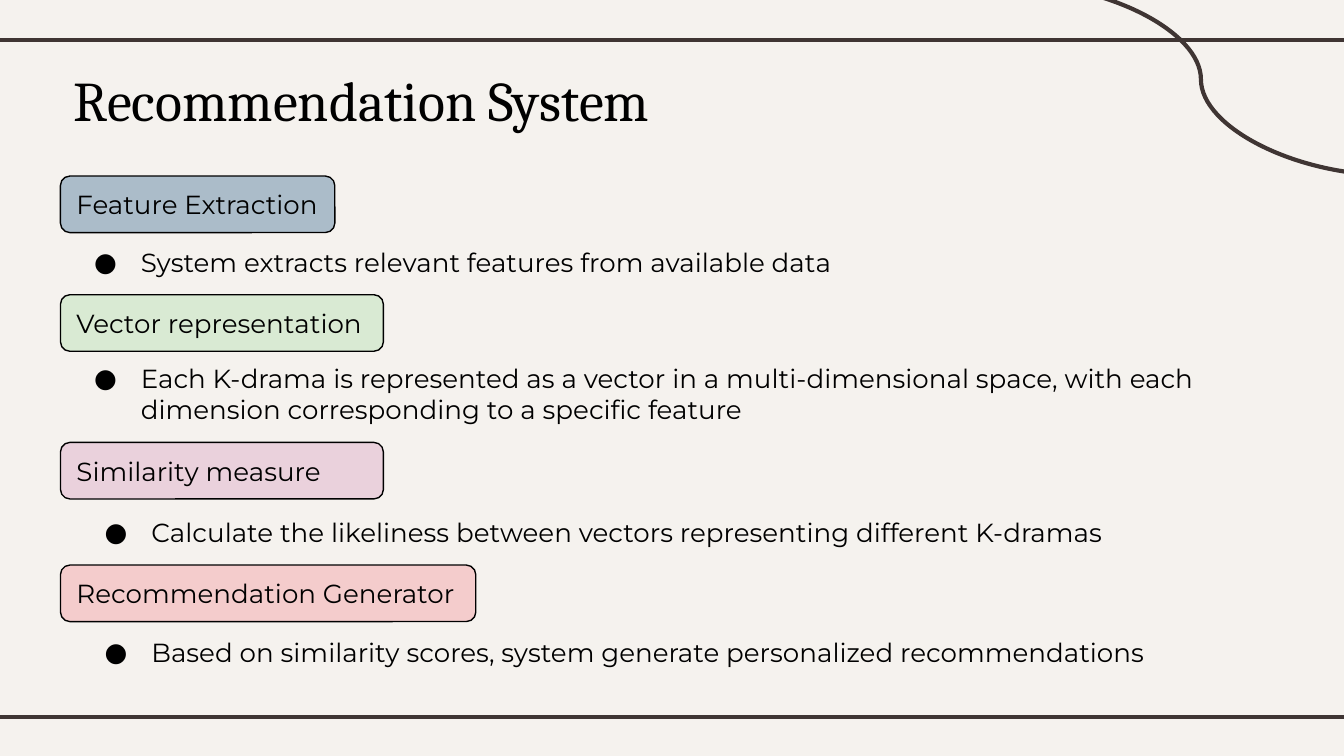
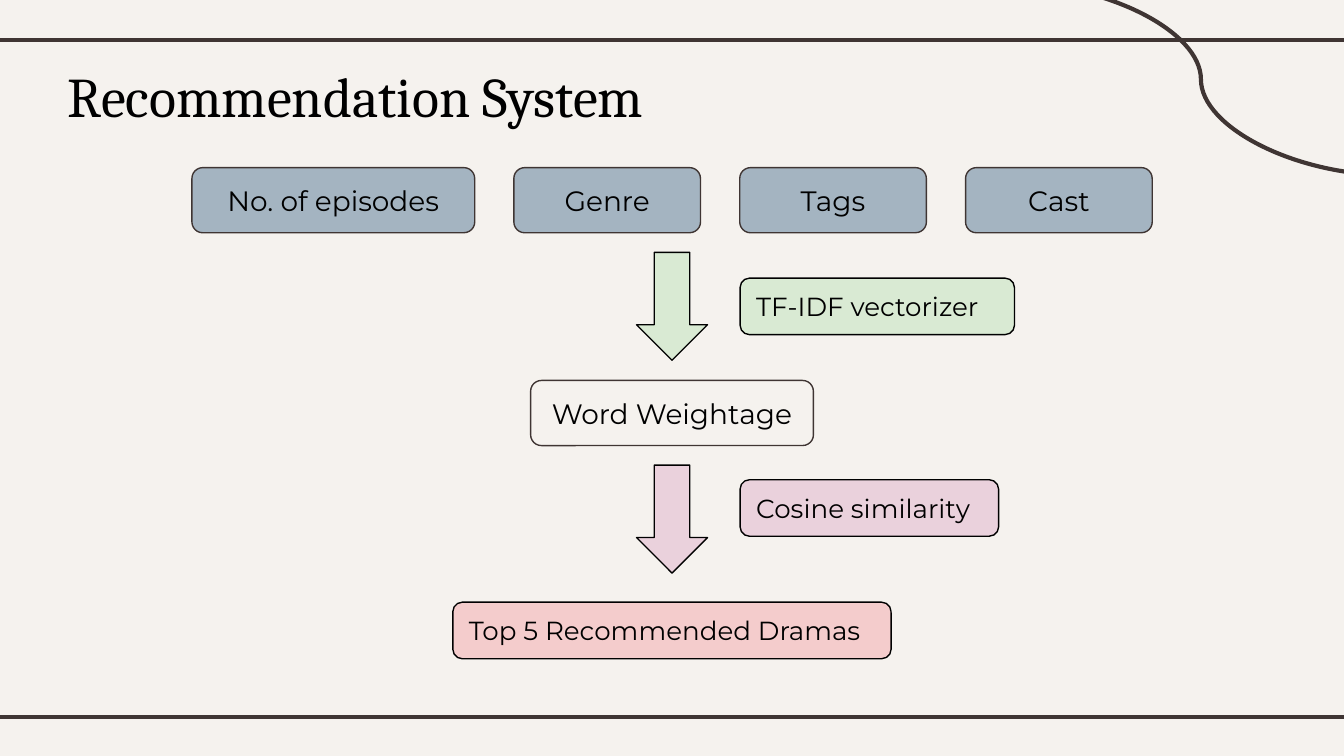
"""Build two slides on how a K-drama recommendation system works."""
from lxml import etree
from pptx import Presentation
from pptx.dml.color import RGBColor
from pptx.enum import shapes, text
from pptx.oxml.ns import qn
from pptx.util import Pt

COLORS = {"paper": "F5F2EE", "brown": "3F3533", "black": "000000",
          "blue": "ABBCC9", "slate": "7994A9", "green": "D9EAD3",
          "mauve": "EAD1DC", "pink": "F4CCCC"}
RGB = {name: RGBColor.from_string(value) for name, value in COLORS.items()}
MIDDLE = 360


def write(sp, label, size, align="LEFT", anchor="TOP", font="Montserrat"):
    tf = sp.text_frame
    tf.text = label
    tf.word_wrap = True
    tf.auto_size = text.MSO_AUTO_SIZE.NONE
    tf.vertical_anchor = text.MSO_ANCHOR[anchor]
    tf.margin_left = tf.margin_right = tf.margin_top = tf.margin_bottom = Pt(7.2)
    p = tf.paragraphs[0]
    p.alignment = text.PP_ALIGN[align]
    r = p.runs[0]
    r.font.size = Pt(size)
    r.font.name = font
    r.font.color.rgb = RGB["black"]
    return p


def box(s, x, y, w, h, fill, line="black", kind="ROUNDED_RECTANGLE"):
    sp = s.shapes.add_shape(shapes.MSO_SHAPE[kind], Pt(x), Pt(y), Pt(w), Pt(h))
    sp.shadow.inherit = False
    if fill:
        sp.fill.solid()
        sp.fill.fore_color.rgb = RGB[fill]
    else:
        sp.fill.background()
    sp.line.color.rgb = RGB[line]
    sp.line.width = Pt(0.75)
    return sp


prs = Presentation()
prs.slide_width, prs.slide_height = Pt(720), Pt(405)
background = prs.slide_master.background.fill
background.solid()
background.fore_color.rgb = RGB["paper"]

frame = [("STRAIGHT", -6, 21.6, 726, 21.6),
         ("STRAIGHT", -6, 384, 726, 384),
         ("CURVE", 542.2, -8.8, 744.5, 93.8)]
for title_x, title_y in [(32.4, 28), (29.2, 26)]:
    s = prs.slides.add_slide(prs.slide_layouts[5])
    for kind, x1, y1, x2, y2 in frame:
        cx = s.shapes.add_connector(shapes.MSO_CONNECTOR[kind],
                                    Pt(x1), Pt(y1), Pt(x2), Pt(y2))
        cx.line.color.rgb = RGB["brown"]
        cx.line.width = Pt(2.25)
        etree.SubElement(cx._element.spPr, qn("a:effectLst"))
    title = s.shapes.title
    title.left, title.top = Pt(title_x), Pt(title_y)
    title.width, title.height = Pt(371), Pt(45.4)
    write(title, "Recommendation System", 30, font="Cambria")

steps_slide, flow_slide = prs.slides

steps = [
    ("Feature Extraction", "blue", 94.3, 147, 32.4, 124.7, 31.5,
     "System extracts relevant features from available data"),
    ("Vector representation", "green", 157.9, 173, 32.4, 186.8, 48.3,
     "Each K-drama is represented as a vector in a multi-dimensional space, "
     "with each dimension corresponding to a specific feature"),
    ("Similarity measure", "mauve", 237, 173, 38, 269.4, 31.5,
     "Calculate the likeliness between vectors representing different K-dramas"),
    ("Recommendation Generator", "pink", 302.7, 222.5, 38, 333.9, 31.5,
     "Based on similarity scores, system generate personalized recommendations"),
]
for name, fill, y, w, note_x, note_y, note_h, note in steps:
    write(box(steps_slide, 32.4, y, w, 30.3, fill), name, 14, anchor="MIDDLE")
    tb = steps_slide.shapes.add_textbox(Pt(note_x), Pt(note_y), Pt(643.7), Pt(note_h))
    pPr = write(tb, note, 14)._p.get_or_add_pPr()
    pPr.set("marL", str(Pt(36)))
    pPr.set("indent", str(Pt(-25)))
    color = etree.SubElement(pPr, qn("a:buClr"))
    etree.SubElement(color, qn("a:srgbClr"), val=COLORS["black"])
    etree.SubElement(pPr, qn("a:buFont"), typeface="Montserrat")
    etree.SubElement(pPr, qn("a:buChar"), char="●")

x = 102.8
for feature, w in [("No. of episodes", 151.5), ("Genre", 100), ("Tags", 100), ("Cast", 100)]:
    sp = box(flow_slide, x, 89.8, w, 34.9, "slate", "brown")
    rgb = sp._element.spPr.find(qn("a:solidFill")).find(qn("a:srgbClr"))
    etree.SubElement(rgb, qn("a:alpha"), val="65000")
    write(sp, feature, 15, "CENTER", "MIDDLE")
    x += w + 21

for method, fill, arrow_y, y, w in [("TF-IDF vectorizer", "green", 135.2, 149, 147),
                                    ("Cosine similarity", "mauve", 249.2, 257, 138.5)]:
    box(flow_slide, MIDDLE - 19, arrow_y, 38, 57.8, fill, kind="DOWN_ARROW")
    write(box(flow_slide, 396.5, y, w, 30.3, fill), method, 14, anchor="MIDDLE")

weights = box(flow_slide, MIDDLE - 75.75, 203.8, 151.5, 34.9, None, "brown")
write(weights, "Word Weightage", 15, "CENTER", "MIDDLE")
result = box(flow_slide, MIDDLE - 117.4, 322.6, 234.8, 30.3, "pink")
write(result, "Top 5 Recommended Dramas", 14, anchor="MIDDLE")

prs.save("out.pptx")
